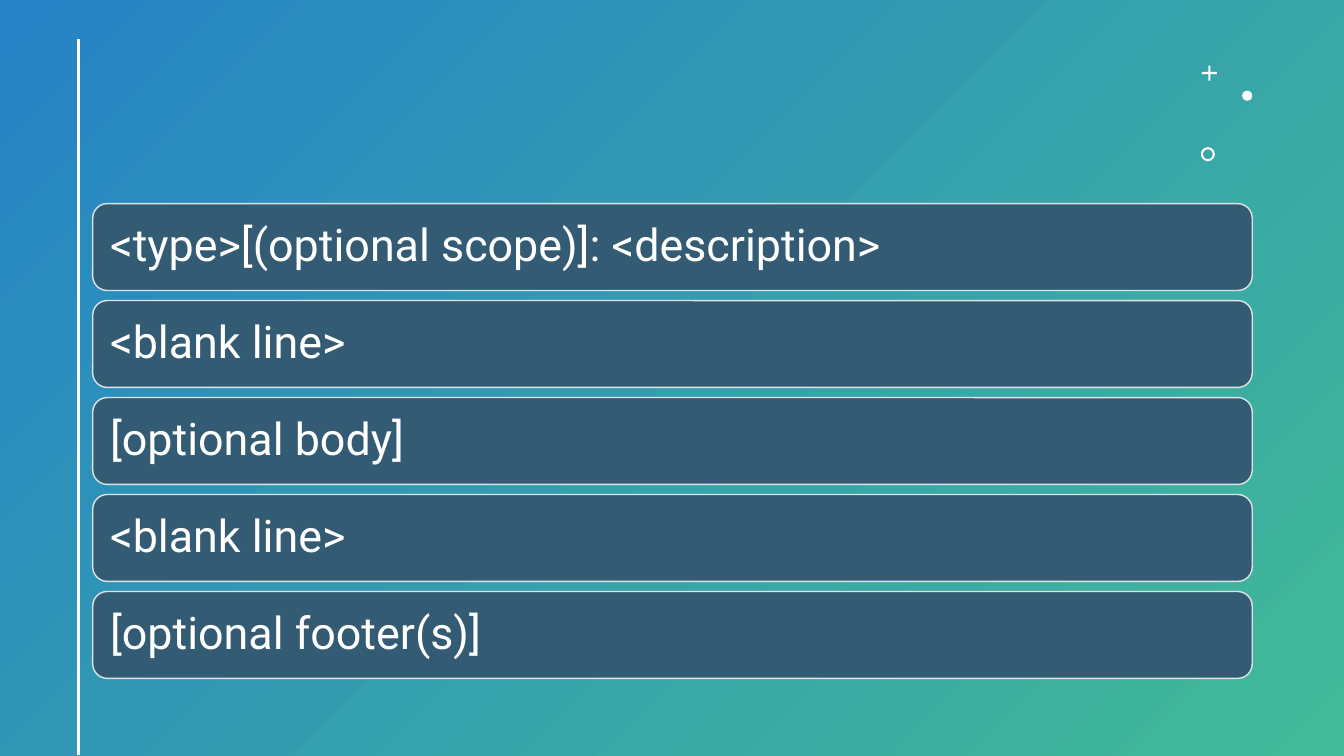
from pptx import Presentation
from pptx.dml.color import RGBColor
from pptx.enum.shapes import MSO_CONNECTOR, MSO_SHAPE as Preset
from pptx.enum.text import MSO_ANCHOR, PP_ALIGN
from pptx.oxml.ns import qn
from pptx.util import Inches, Pt
from lxml.etree import SubElement

BLUE = RGBColor(0x26, 0x83, 0xC6)
GREEN = RGBColor(0x42, 0xBA, 0x97)
SLATE = RGBColor(0x33, 0x5B, 0x74)
PALE = RGBColor(0xDF, 0xE3, 0xE5)
WHITE = RGBColor(0xFF, 0xFF, 0xFF)
FONT = "Roboto"
WIDTH, HEIGHT = 13.33, 7.5
COMMIT_PARTS = [
    "<type>[(optional scope)]: <description>",
    "<blank line>",
    "[optional body]",
    "<blank line>",
    "[optional footer(s)]",
]


def add_plain(slide, preset, left, top, width, height):
    """Add a preset shape with no shadow and no outline."""
    shape = slide.shapes.add_shape(
        preset, Inches(left), Inches(top), Inches(width), Inches(height))
    shape.shadow.inherit = False
    shape.line.fill.background()
    return shape


def add_backdrop(slide, left, top, width, height):
    """Fill the box with a diagonal gradient from blue to green."""
    backdrop = add_plain(slide, Preset.RECTANGLE, left, top, width, height)
    backdrop.fill.gradient()
    backdrop.fill.gradient_angle = 315
    for stop, color in zip(backdrop.fill.gradient_stops, (BLUE, GREEN)):
        stop.color.rgb = color


def add_margin_rule(slide, left, top, height):
    """Draw the vertical white rule beside the content."""
    rule = slide.shapes.add_connector(
        MSO_CONNECTOR.STRAIGHT, Inches(left), Inches(top),
        Inches(left), Inches(top + height))
    rule.line.color.rgb = WHITE
    rule.line.width = Pt(2)
    SubElement(rule._element.spPr, qn("a:effectLst"))


def add_ornaments(slide, left, top):
    """Place the white plus, dot and ring relative to a corner."""
    ornaments = [
        (Preset.CROSS, 0.01, 0, 0.15, 0.43),
        (Preset.OVAL, 0.41, 0.25, 0.1, None),
        (Preset.DONUT, 0, 0.81, 0.14, 0.15),
    ]
    for preset, dx, dy, size, thickness in ornaments:
        ornament = add_plain(slide, preset, left + dx, top + dy, size, size)
        ornament.fill.solid()
        ornament.fill.fore_color.rgb = WHITE
        if thickness is not None:
            ornament.adjustments[0] = thickness


def add_commit_bars(slide, left, top, width, height, parts, gap=0.1):
    """Stack one rounded bar per commit part, evenly filling the box."""
    bar_height = (height - gap * (len(parts) - 1)) / len(parts)
    for row, part in enumerate(parts):
        bar = add_plain(slide, Preset.ROUNDED_RECTANGLE, left,
                        top + row * (bar_height + gap), width, bar_height)
        bar.fill.solid()
        bar.fill.fore_color.rgb = SLATE
        bar.line.color.rgb = PALE
        bar.line.width = Pt(1)

        frame = bar.text_frame
        frame.word_wrap = True
        frame.vertical_anchor = MSO_ANCHOR.MIDDLE
        frame.margin_left = frame.margin_right = Inches(0.13)
        frame.margin_top = frame.margin_bottom = Inches(0.13)
        label = frame.paragraphs[0]
        label.text = part
        label.alignment = PP_ALIGN.LEFT
        label.line_spacing = 0.9
        label.font.name = FONT
        label.font.size = Pt(32)
        label.font.color.rgb = WHITE


def build_commit_slide(deck):
    """Build the slide showing the structure of a commit message."""
    slide = deck.slides.add_slide(deck.slide_layouts[6])
    add_backdrop(slide, 0, 0, WIDTH, HEIGHT)
    add_margin_rule(slide, 0.78, 0.39, 7.1)
    add_ornaments(slide, 11.91, 0.65)
    add_commit_bars(slide, 0.92, 2.02, 11.5, 4.71, COMMIT_PARTS)


deck = Presentation()
deck.slide_width = Inches(WIDTH)
deck.slide_height = Inches(HEIGHT)
build_commit_slide(deck)
deck.save("out.pptx")
